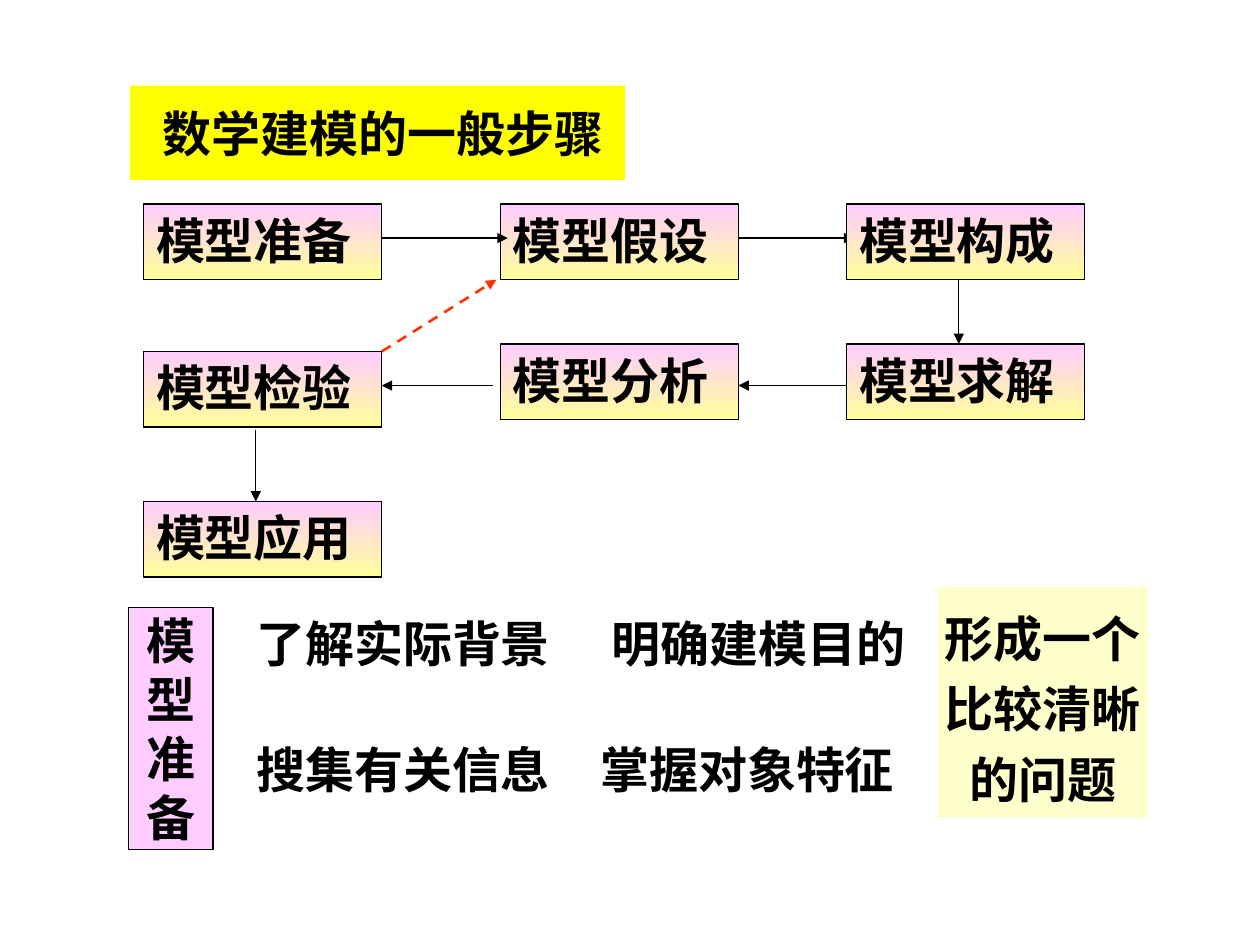
from pptx import Presentation
from pptx.dml.color import RGBColor
from pptx.enum.dml import MSO_LINE_DASH_STYLE as Dash
from pptx.enum.shapes import MSO_CONNECTOR as Connector, MSO_SHAPE as Shape
from pptx.enum.text import MSO_ANCHOR as Anchor, MSO_AUTO_SIZE as AutoSize, PP_ALIGN as Align
from pptx.oxml.ns import qn
from pptx.util import Inches, Pt
from lxml.etree import SubElement

BLACK = RGBColor(0x00, 0x00, 0x00)
YELLOW = RGBColor(0xFF, 0xFF, 0x00)
PINK = RGBColor(0xFF, 0xCC, 0xFF)
LEMON = RGBColor(0xFF, 0xFF, 0x99)
CREAM = RGBColor(0xFF, 0xFF, 0xCC)
RED = RGBColor(0xFF, 0x33, 0x00)
SANS = "Noto Sans CJK SC"
SERIF = "Times New Roman"
LEFT, MIDDLE, RIGHT = 1.14, 3.97, 6.72
STEP_WIDTH, STEP_HEIGHT = 1.89, 0.6
STEPS = [
    ("模型准备", LEFT, 1.62),
    ("模型假设", MIDDLE, 1.62),
    ("模型构成", RIGHT, 1.62),
    ("模型求解", RIGHT, 2.73),
    ("模型分析", MIDDLE, 2.73),
    ("模型检验", LEFT, 2.79),
    ("模型应用", LEFT, 3.98),
]
ARROWS = [
    (5.86, 1.89, 6.78, 1.89),
    (7.61, 2.22, 7.61, 2.73),
    (6.72, 3.06, 5.86, 3.06),
    (3.91, 3.06, 3.03, 3.06),
    (2.03, 3.41, 2.03, 3.98),
]
TASKS = [
    ("了解实际背景", 1.95, 4.77),
    ("明确建模目的", 4.77, 4.77),
    ("搜集有关信息", 1.95, 5.77),
    ("掌握对象特征", 4.68, 5.77),
]


def write_text(box, lines, font_name, align=Align.CENTER, anchor=Anchor.MIDDLE,
               wrap=False, spacing=None):
    frame = box.text_frame
    frame.text = "\n".join(lines)
    frame.auto_size = AutoSize.NONE
    frame.word_wrap = wrap
    frame.vertical_anchor = anchor
    for para in frame.paragraphs:
        para.alignment = align
        if spacing:
            para.line_spacing = spacing
        font = para.font
        font.name = font_name
        font.size = Pt(28)
        font.bold = True
        font.color.rgb = BLACK
        properties = para._p.pPr.find(qn("a:defRPr"))
        SubElement(properties, qn("a:ea")).set("typeface", SANS)


def add_title(page):
    title = page.shapes.title
    title.left, title.top = Inches(1.03), Inches(0.68)
    title.width, title.height = Inches(3.93), Inches(0.75)
    title.fill.solid()
    title.fill.fore_color.rgb = YELLOW
    write_text(title, [" 数学建模的一般步骤"], SANS)


def add_panel(page, left, top, width, height, color, outlined):
    panel = page.shapes.add_shape(Shape.RECTANGLE, Inches(left), Inches(top),
                                  Inches(width), Inches(height))
    panel.shadow.inherit = False
    panel.fill.solid()
    panel.fill.fore_color.rgb = color
    if outlined:
        panel.line.color.rgb = BLACK
        panel.line.width = Pt(0.75)
    else:
        panel.line.fill.background()
    return panel


def add_step(page, text, left, top):
    step = add_panel(page, left, top, STEP_WIDTH, STEP_HEIGHT, PINK, True)
    step.fill.gradient()
    step.fill.gradient_angle = 270
    for stop, color in zip(step.fill.gradient_stops, (PINK, LEMON)):
        stop.color.rgb = color
    write_text(step, [text], SERIF, Align.JUSTIFY, Anchor.TOP, True)


def add_arrow(page, points, color=BLACK, width=0.75, dash=None):
    arrow = page.shapes.add_connector(Connector.STRAIGHT, *map(Inches, points))
    arrow.line.color.rgb = color
    arrow.line.width = Pt(width)
    if dash:
        arrow.line.dash_style = dash
    SubElement(arrow.line._get_or_add_ln(), qn("a:tailEnd")).set("type", "triangle")
    SubElement(arrow._element.spPr, qn("a:effectLst"))


def add_task(page, text, left, top):
    box = page.shapes.add_textbox(Inches(left), Inches(top), Inches(2.5), Inches(0.67))
    write_text(box, [text], SANS)


def main():
    deck = Presentation()
    deck.slide_width, deck.slide_height = Inches(10), Inches(7.5)
    page = deck.slides.add_slide(deck.slide_layouts[5])
    add_title(page)
    for points in ARROWS:
        add_arrow(page, points)
    add_arrow(page, (3.03, 2.79, 3.94, 2.22), RED, 1.5, Dash.DASH)
    for step in STEPS:
        add_step(page, *step)
    add_arrow(page, (3.03, 1.89, 4.03, 1.89))
    stage = add_panel(page, 1.02, 4.82, 0.67, 1.92, PINK, True)
    write_text(stage, list("模型准备"), SERIF)
    for task in TASKS:
        add_task(page, *task)
    result = add_panel(page, 7.44, 4.66, 1.67, 1.83, CREAM, False)
    write_text(result, ["形成一个", "比较清晰", "的问题"], SERIF, spacing=1.2)
    deck.save("out.pptx")


if __name__ == "__main__":
    main()
